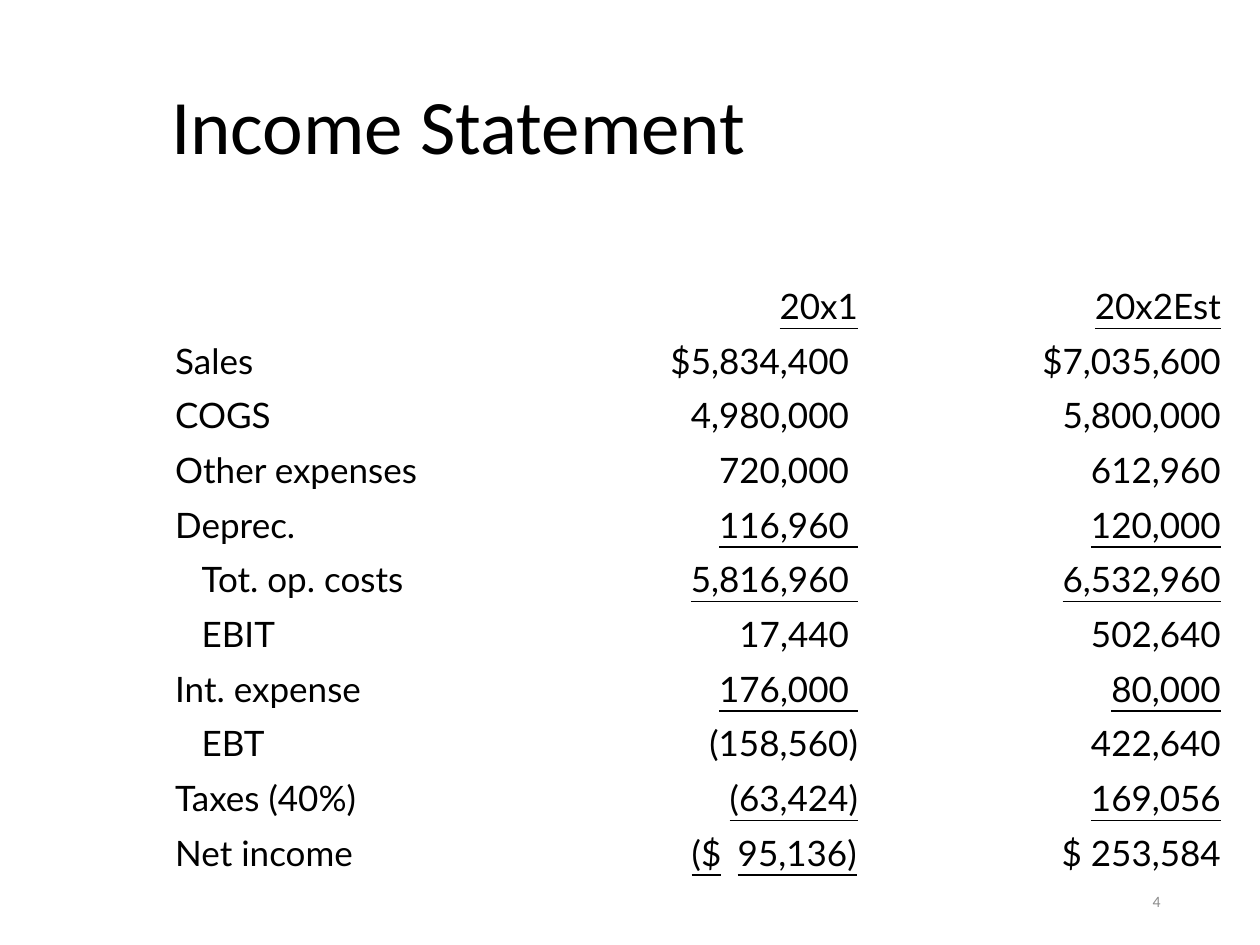
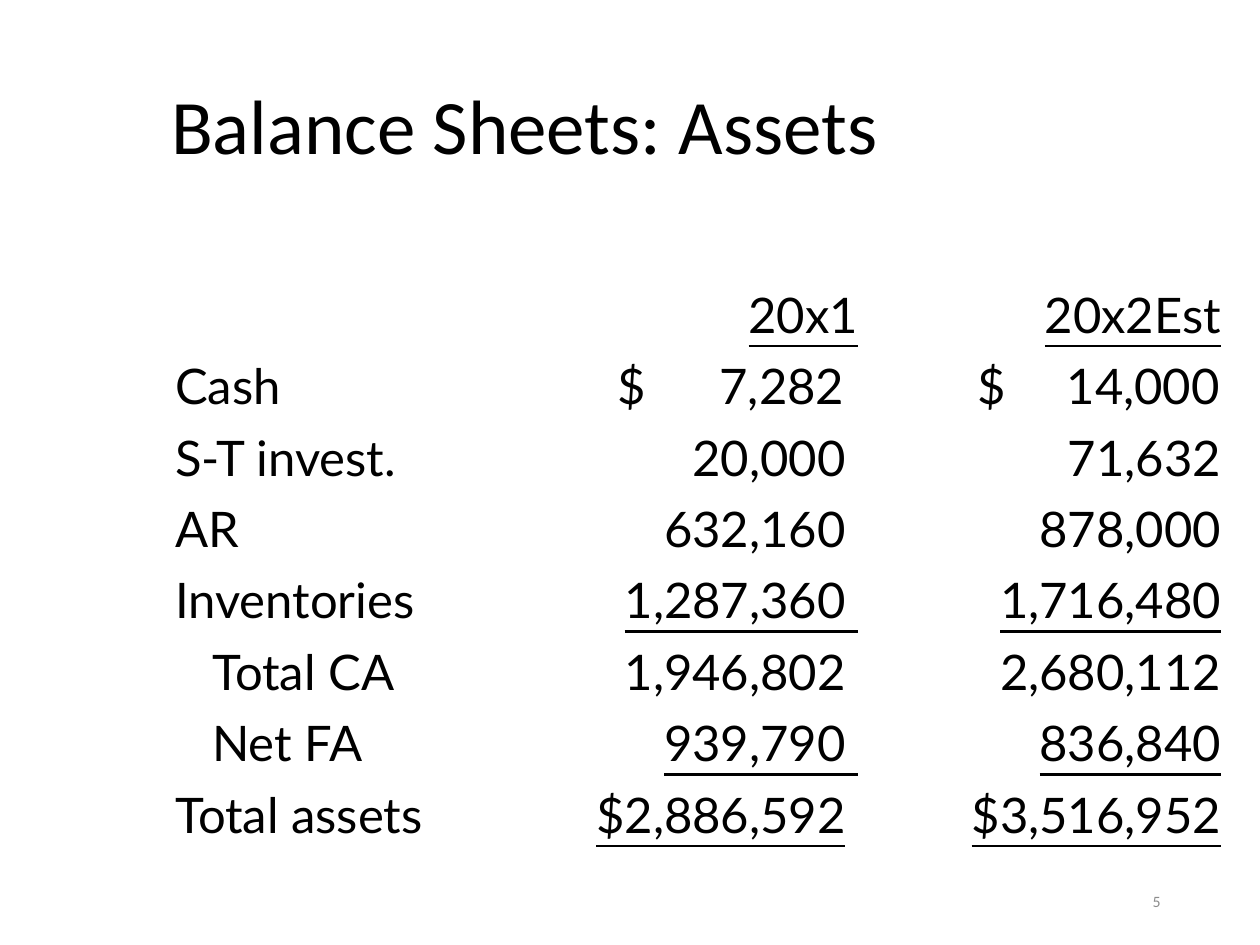
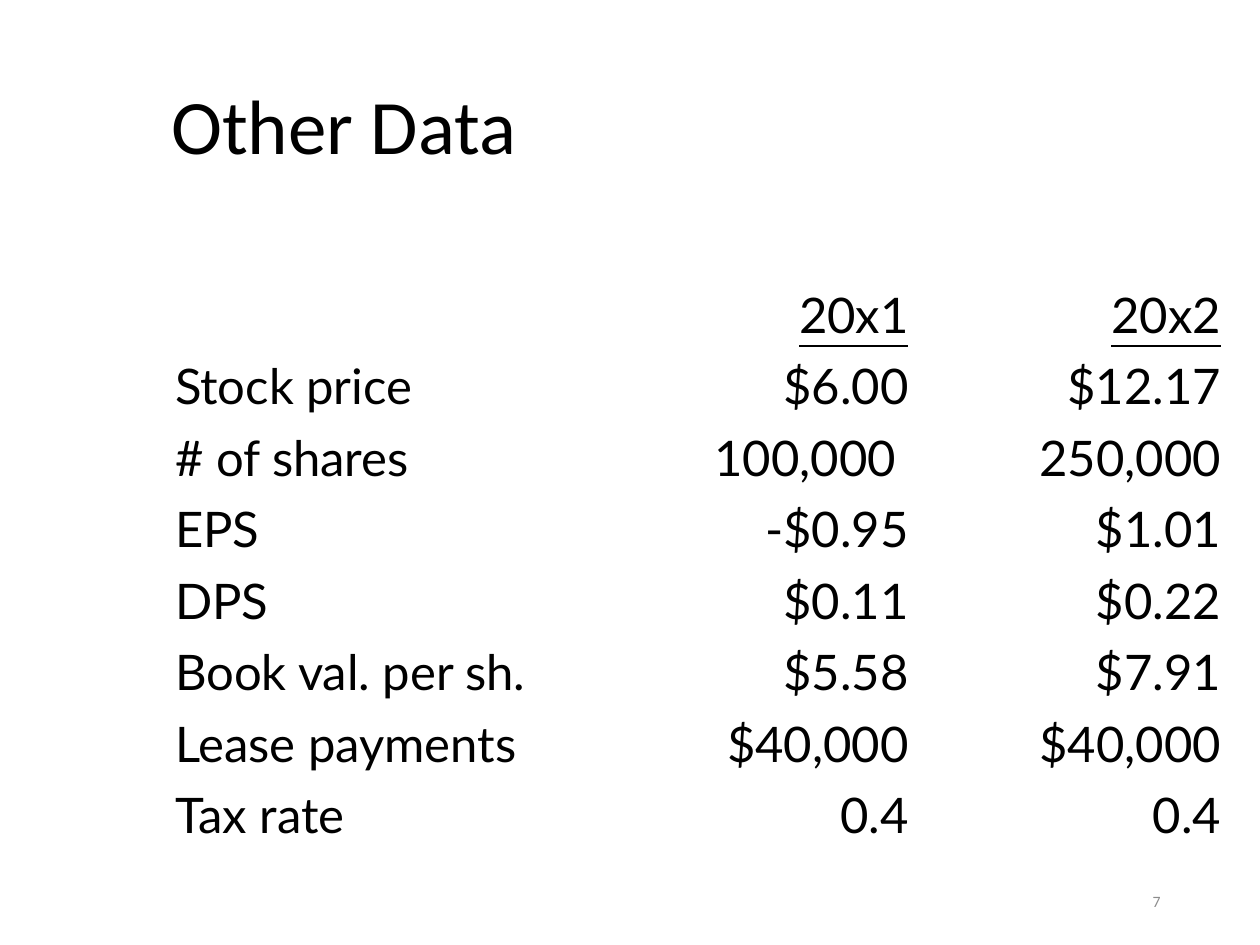
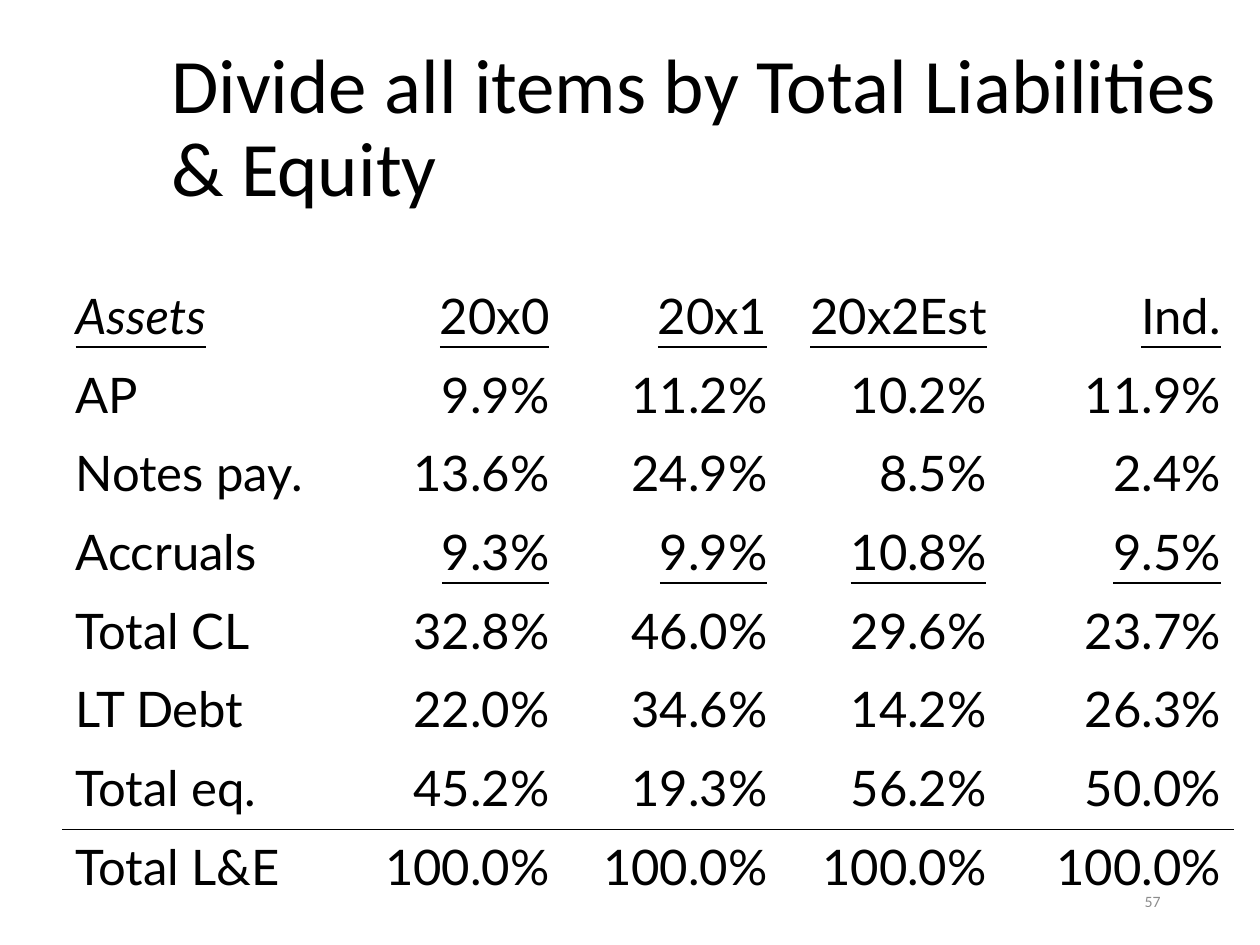
from pptx import Presentation, util as u
from pptx.dml.color import RGBColor
from pptx.enum import text as t
from pptx.oxml import parse_xml
from pptx.oxml.ns import nsdecls

BLACK = RGBColor(0, 0, 0)
GREY = RGBColor(0x8C, 0x8C, 0x8C)
HEAD, BODY = "Calibri", "Lato"
UNIT = 0.5  # inches per grid step: 20 columns by 15 rows
PAD = 0.1   # side inset of a cell, in inches

# In cell text, _..._ is underlined and a leading > is indented.
# A (text, lead, stop) cell has a currency mark at lead and its
# number right-aligned at stop, both in inches.
INCOME = [
    ["", "_20x1_", "_20x2Est_"],
    ["Sales", "$5,834,400 ", "$7,035,600"],
    ["COGS", "4,980,000 ", "5,800,000"],
    ["Other expenses", "720,000 ", "612,960"],
    ["Deprec.", "_116,960 _", "_120,000_"],
    [">Tot. op. costs", "_5,816,960 _", "_6,532,960_"],
    [">EBIT", "17,440 ", "502,640"],
    ["Int. expense", "_176,000 _", "_80,000_"],
    [">EBT", "(158,560)", "422,640"],
    ["Taxes (40%)", "_(63,424)_", "_169,056_"],
    ["Net income", ("_($\t95,136)_", 1.27, 1.31), "$ 253,584"],
]
ASSETS = [
    ["", "_20x1_", "_20x2Est_"],
    ["Cash", ("$\t7,282", 0.68, 1.8), ("$\t14,000", 0.75, 1.92)],
    ["S-T invest.", "20,000 ", "71,632"],
    ["AR", "632,160 ", "878,000"],
    ["Inventories", "_1,287,360 _", "_1,716,480_"],
    [">Total CA", "1,946,802 ", "2,680,112"],
    [">Net FA", "_939,790 _", "_836,840_"],
    ["Total assets", "_$2,886,592_ ", "_$3,516,952_"],
]
OTHER = [
    ["", "_20x1_", "_20x2_"],
    ["Stock price", "$6.00", "$12.17"],
    ["# of shares", "100,000 ", "250,000"],
    ["EPS", "-$0.95", "$1.01"],
    ["DPS", "$0.11", "$0.22"],
    ["Book val. per sh.", "$5.58", "$7.91"],
    ["Lease payments", "$40,000", "$40,000"],
    ["Tax rate", "0.4", "0.4"],
]
CLAIMS = [
    ["_Assets_", "_20x0_", "_20x1_", "_20x2Est_", "_Ind._"],
    ["AP", "9.9%", "11.2%", "10.2%", "11.9%"],
    ["Notes pay.", "13.6%", "24.9%", "8.5%", "2.4%"],
    ["Accruals", "_9.3%_", "_9.9%_", "_10.8%_", "_9.5%_"],
    ["Total CL", "32.8%", "46.0%", "29.6%", "23.7%"],
    ["LT Debt", "22.0%", "34.6%", "14.2%", "26.3%"],
    ["Total eq.", "45.2%", "19.3%", "56.2%", "50.0%"],
    ["Total L&E", "100.0%", "100.0%", "100.0%", "100.0%"],
]


def grid(steps):
    return u.Inches(steps * UNIT)


class Deck:
    def __init__(self):
        self.prs = Presentation()
        self.prs.slide_width, self.prs.slide_height = grid(20), grid(15)

    def page(self, title, number):
        """Start a slide with its number and title."""
        self.slide = self.prs.slides.add_slide(self.prs.slide_layouts[6])
        num = self.label(number, (14.12, 13.9, 4.5, 0.8), 9, GREY)
        num.alignment = t.PP_ALIGN.RIGHT
        head = self.label(title, (2.52, 0.46, 17.04, 3.2), 44, BLACK)
        head.line_spacing = 0.9

    def label(self, words, area, size, color):
        frame = self.slide.shapes.add_textbox(*map(grid, area)).text_frame
        frame.word_wrap = True
        frame.vertical_anchor = t.MSO_ANCHOR.MIDDLE
        frame.text = words
        para = frame.paragraphs[0]
        self.style(para.runs[0], HEAD, size, color)
        return para

    def style(self, run, name, size, color):
        run.font.name, run.font.size = name, u.Pt(size)
        run.font.color.rgb = color

    def table(self, rows, left, cols, high, size=28,
              anchor=t.MSO_ANCHOR.TOP, inset=0.05):
        shape = self.slide.shapes.add_table(
            len(rows), len(cols), grid(left), grid(4.42),
            grid(sum(cols)), grid(high))
        table = shape.table
        table.first_row = table.horz_banding = False
        for col, wide in zip(table.columns, cols):
            col.width = grid(wide)
        for r, row in enumerate(rows):
            table.rows[r].height = grid(high / len(rows))
            for c, item in enumerate(row):
                cell = table.cell(r, c)
                cell.fill.background()
                cell.vertical_anchor = anchor
                cell.margin_top = cell.margin_bottom = u.Inches(inset)
                cell.margin_left = cell.margin_right = u.Inches(PAD)
                self.fill(cell, item, size, c > 0)
        return table

    def fill(self, cell, item, size, figure):
        """Write one cell, figures to the right."""
        para = cell.text_frame.paragraphs[0]
        if isinstance(item, tuple):
            item, lead, stop = item
            cell.margin_left = u.Inches(PAD + lead)
            para._p.get_or_add_pPr().append(parse_xml(
                f'<a:tabLst {nsdecls("a")}>'
                f'<a:tab pos="{u.Inches(stop)}" algn="r"/></a:tabLst>'))
        elif figure:
            para.alignment = t.PP_ALIGN.RIGHT
        if item.startswith(">"):
            item = item[1:]
            cell.margin_left = u.Inches(PAD + size * 0.0105)
        for n, part in enumerate(item.split("_")):
            if part:
                run = para.add_run()
                run.text = part
                self.style(run, BODY, size, BLACK)
                run.font.underline = n % 2 == 1

    def rule(self, table, above):
        """Draw a line between row `above` and the next one."""
        for row, side in ((above, "lnB"), (above + 1, "lnT")):
            for cell in table.rows[row].cells:
                cell._tc.get_or_add_tcPr().insert(0, parse_xml(
                    f'<a:{side} {nsdecls("a")} w="{u.Pt(1)}"><a:solidFill>'
                    f'<a:srgbClr val="{BLACK}"/></a:solidFill></a:{side}>'))


def main():
    deck = Deck()
    deck.page("Income Statement", "4")
    deck.table(INCOME, 2.58, (5.66, 5.58, 5.76), 9.54, size=20)

    deck.page("Balance Sheets: Assets", "5")
    deck.table(ASSETS, 2.58, (5.66, 5.58, 5.76), 9.06)

    deck.page("Other Data", "7")
    deck.table(OTHER, 2.58, (6.8, 5.24, 4.96), 9.06,
               anchor=t.MSO_ANCHOR.BOTTOM)

    deck.page("Divide all items by Total Liabilities & Equity", "57")
    claims = deck.table(CLAIMS, 1, (4.42, 3.5, 3.46, 3.48, 3.72), 10,
                        inset=0.06)
    corner = claims.cell(0, 0).text_frame.paragraphs[0]
    corner.runs[0].font.italic = True
    deck.rule(claims, len(CLAIMS) - 2)

    deck.prs.save("out.pptx")


if __name__ == "__main__":
    main()
